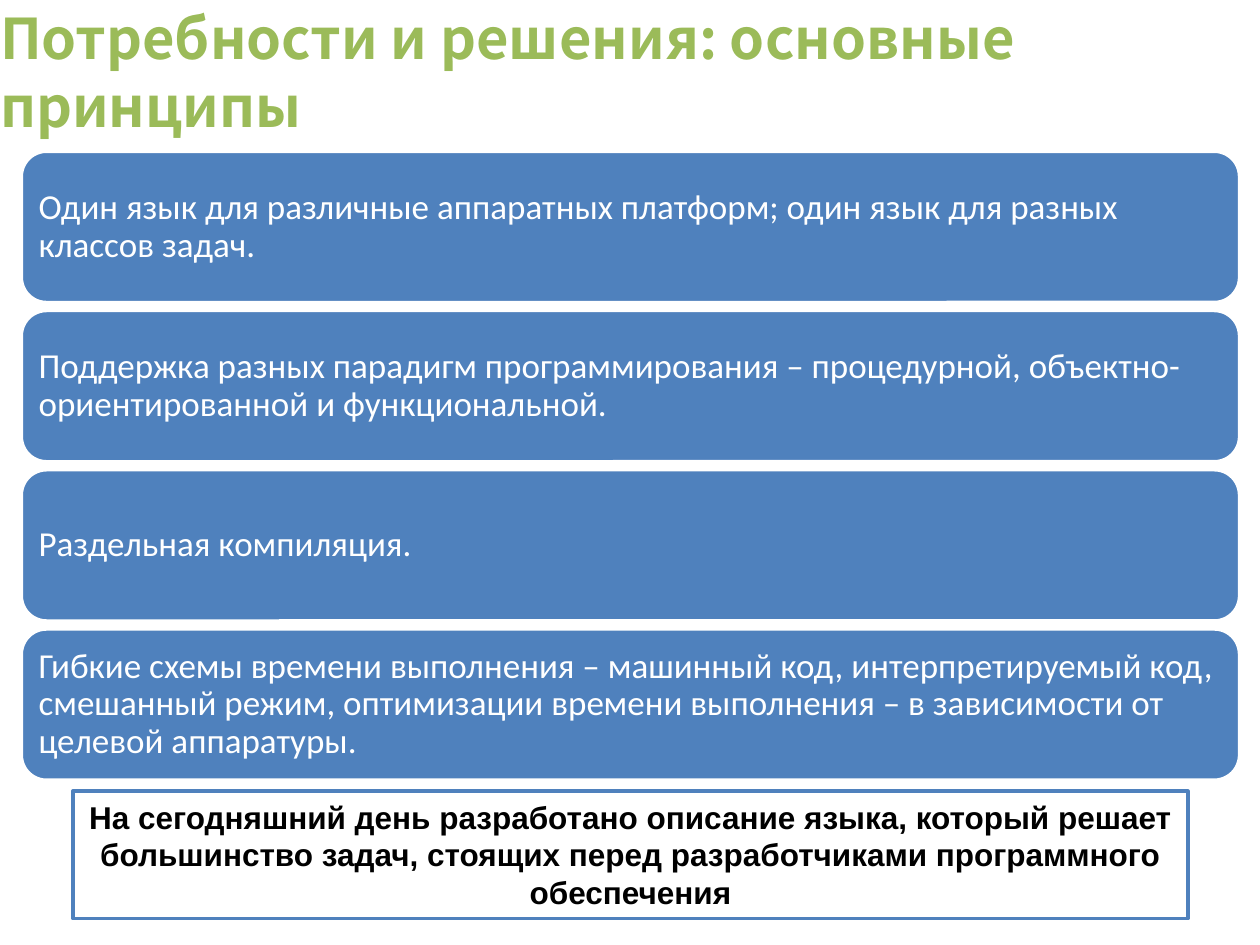
from dataclasses import dataclass

from pptx import Presentation
from pptx.dml.color import RGBColor
from pptx.enum.shapes import MSO_SHAPE as Preset
from pptx.enum.text import MSO_ANCHOR as Anchor, PP_ALIGN as Align
from pptx.util import Cm, Pt

BLUE, GREEN, WHITE, BLACK = "4F81BD", "9BBB59", "FFFFFF", "000000"
FIRST_TOP, PITCH = 3.05, 3.21
TITLE = "Потребности и решения: основные принципы"
PRINCIPLES = (
    "Один язык для различные аппаратных платформ; один язык для разных классов задач.",
    "Поддержка разных парадигм программирования – процедурной, "
    "объектно-ориентированной и функциональной.",
    "Раздельная компиляция.",
    "Гибкие схемы времени выполнения – машинный код, интерпретируемый код, "
    "смешанный режим, оптимизации времени выполнения – в зависимости от целевой аппаратуры.",
)
CONCLUSION = (
    "На сегодняшний день разработано описание языка, который решает "
    "большинство задач, стоящих перед разработчиками программного обеспечения"
)


@dataclass(frozen=True)
class TextStyle:
    """Typeface, paragraph and margin settings of one kind of text."""

    font: str
    size: int
    color: str
    bold: bool
    align: Align
    anchor: Anchor
    spacing: float
    margins: tuple[float, float, float, float]


@dataclass(frozen=True)
class Panel:
    """A filled and outlined shape with its text, measured in centimetres."""

    text: str
    preset: Preset
    box: tuple[float, float, float, float]
    fill: str
    line: str
    style: TextStyle


TITLE_STYLE = TextStyle("Noto Sans CJK KR", 32, GREEN, True, Align.LEFT, Anchor.TOP, 1.0,
                        (0, 0, 0.25, 0.13))
PRINCIPLE_STYLE = TextStyle("Calibri", 20, WHITE, False, Align.LEFT, Anchor.MIDDLE, 0.9,
                            (0.2, 0.2, 0.2, 0.2))
CONCLUSION_STYLE = TextStyle("Arial", 18, BLACK, True, Align.CENTER, Anchor.TOP, 1.0,
                             (0.25, 0.13, 0.25, 0.13))


def rgb(value: str) -> RGBColor:
    """Turn a hex string into a colour."""
    return RGBColor.from_string(value)


def set_attributes(target: object, values: dict) -> None:
    """Set every named attribute on the target."""
    for name, value in values.items():
        setattr(target, name, value)


def place(shape, box: tuple[float, float, float, float]) -> None:
    """Move and size a shape."""
    set_attributes(shape, dict(zip(("left", "top", "width", "height"), map(Cm, box))))


def write(shape, text: str, style: TextStyle) -> None:
    """Fill a shape with one styled paragraph."""
    frame = shape.text_frame
    sides = ("margin_left", "margin_top", "margin_right", "margin_bottom")
    set_attributes(frame, {
        "text": text, "word_wrap": True, "vertical_anchor": style.anchor,
        **dict(zip(sides, map(Cm, style.margins))),
    })
    paragraph = frame.paragraphs[0]
    set_attributes(paragraph, {"alignment": style.align, "line_spacing": style.spacing})
    font = paragraph.runs[0].font
    set_attributes(font, {"name": style.font, "size": Pt(style.size), "bold": style.bold})
    font.color.rgb = rgb(style.color)


def draw_panel(slide, panel: Panel) -> None:
    """Draw one panel with its text."""
    shape = slide.shapes.add_shape(panel.preset, *map(Cm, panel.box))
    shape.shadow.inherit = False
    shape.fill.solid()
    shape.fill.fore_color.rgb = rgb(panel.fill)
    shape.line.color.rgb = rgb(panel.line)
    shape.line.width = Pt(2)
    write(shape, panel.text, panel.style)


def main() -> None:
    """Build and save the slide."""
    presentation = Presentation()
    set_attributes(presentation, {"slide_width": Cm(25.4), "slide_height": Cm(19.05)})
    slide = presentation.slides.add_slide(presentation.slide_layouts[5])
    title = slide.shapes.title
    place(title, (0, 0.08, 25.86, 2.87))
    write(title, TITLE, TITLE_STYLE)
    panels = [
        Panel(text, Preset.ROUNDED_RECTANGLE, (0.43, FIRST_TOP + row * PITCH, 24.56, 3.05),
              BLUE, WHITE, PRINCIPLE_STYLE)
        for row, text in enumerate(PRINCIPLES)
    ]
    panels.append(Panel(CONCLUSION, Preset.RECTANGLE, (1.47, 15.95, 22.48, 2.57),
                        WHITE, BLUE, CONCLUSION_STYLE))
    for panel in panels:
        draw_panel(slide, panel)
    presentation.save("out.pptx")


main()
